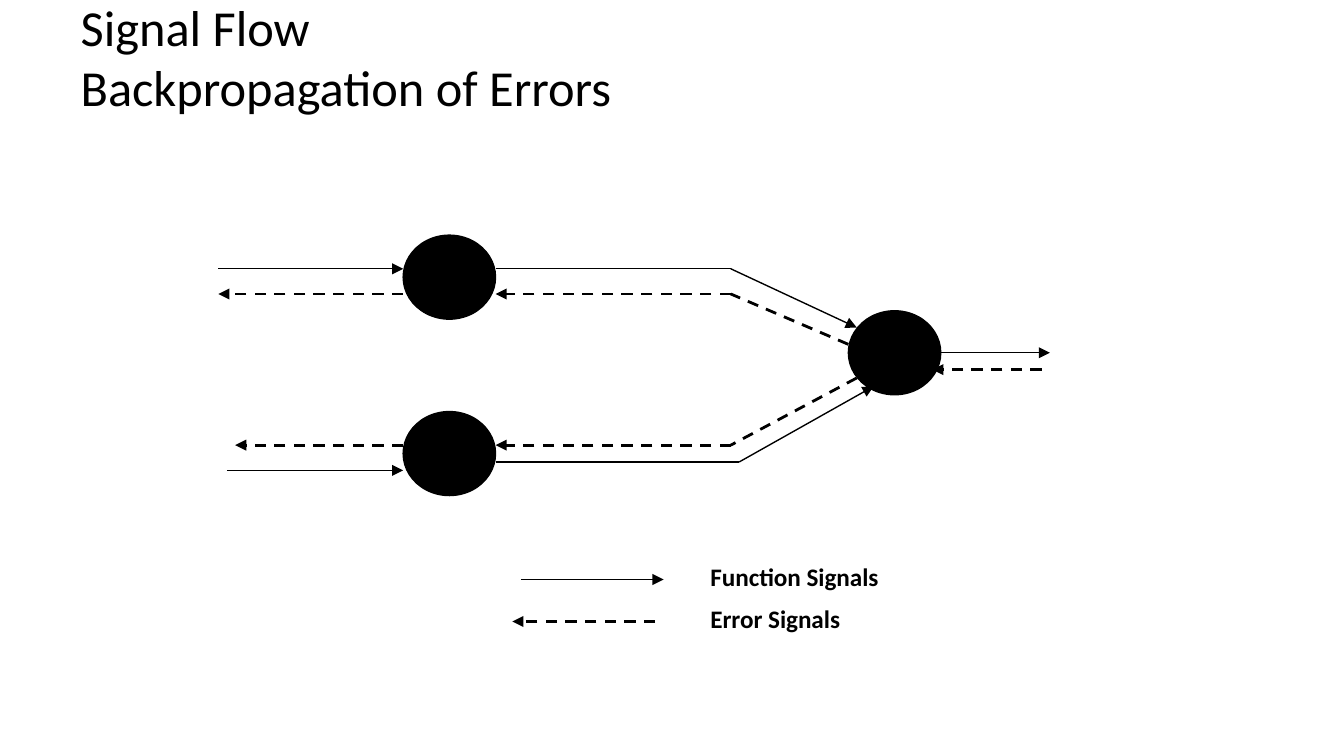
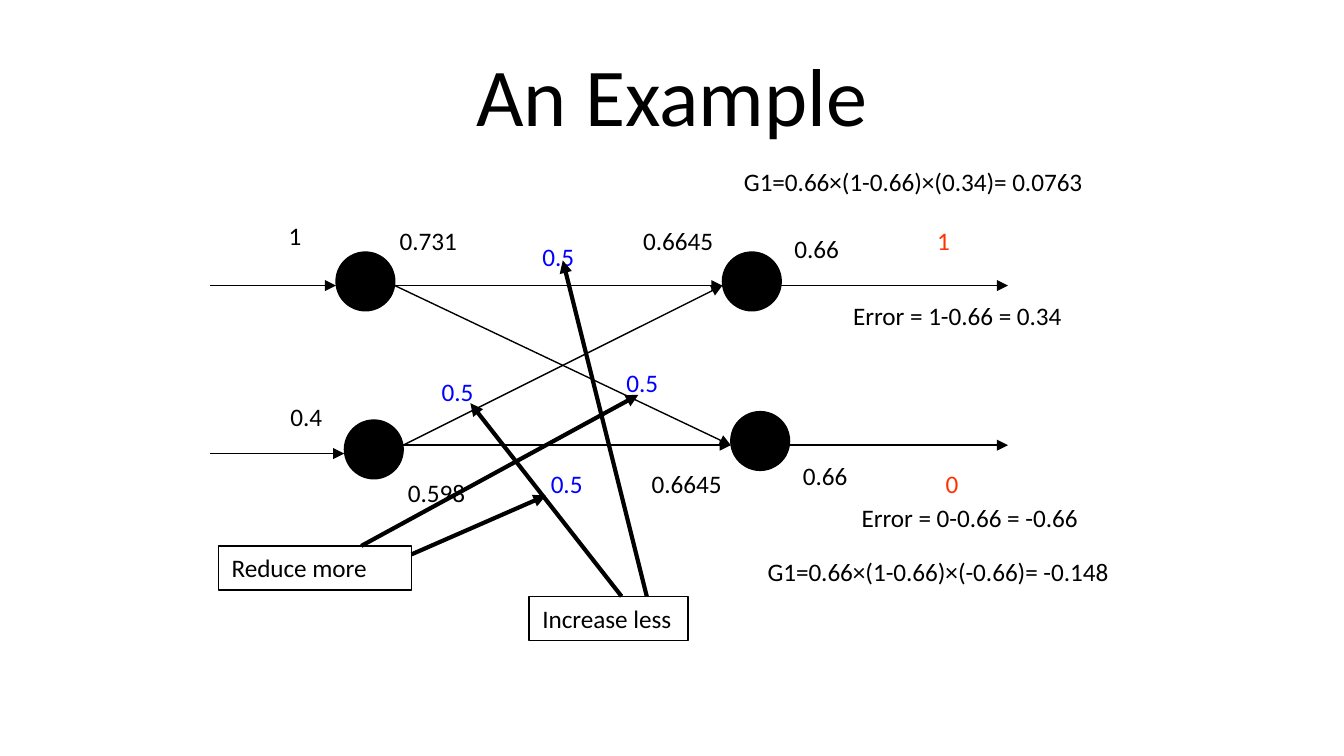
"""Build two slides on backpropagation: the signal flow and a worked example."""
import itertools

import pptx
import pptx.dml.color
import pptx.enum.dml
import pptx.enum.shapes
import pptx.enum.text
import pptx.oxml
import pptx.util

COLORS = {"ink": "000000", "weight": "0000FF", "target": "FF3300"}
FONT = "Calibri"
COLUMNS, ROWS = 160, 90
CELL = pptx.util.Inches(10) // COLUMNS
LABEL_HEIGHT = 5.25

FLOW_TITLE = "Signal Flow\vBackpropagation of Errors"
FLOW_NEURON_SIZE = (11, 10)
FLOW_NEURONS = [(48, 28), (101, 37), (48, 49)]
FUNCTION_SIGNALS = [
    [(59, 32), (87, 32), (102, 39)],
    [(59, 55), (88, 55), (104, 46)],
    [(112, 42), (125, 42)],
    [(26, 32), (48, 32)],
    [(27, 56), (48, 56)],
    [(62, 69), (79, 69)],
]
ERROR_SIGNALS = [
    [(102, 45), (87, 53), (59, 53)],
    [(101, 41), (87, 35), (59, 35)],
    [(124, 44), (111, 44)],
    [(48, 35), (26, 35)],
    [(48, 53), (28, 53)],
    [(78, 74), (61, 74)],
]
LEGEND = [("Function Signals", 83, 66, 31), ("Error Signals", 83, 71, 18.9)]

EXAMPLE_TITLE = "An Example"
EXAMPLE_NEURON_SIZE = (7, 7)
EXAMPLE_NEURONS = [(87, 49), (40, 30), (41, 50), (86, 30)]
CONNECTIONS = [
    [(47, 34), (86, 34)],
    [(25, 34), (40, 34)],
    [(25, 54), (41, 54)],
    [(47, 34), (87, 53)],
    [(48, 53), (87, 53)],
    [(48, 53), (86, 34)],
    [(93, 34), (120, 34)],
    [(94, 53), (120, 53)],
]
VALUES = [
    ("1", 32.8, 25.5, 4.8),
    ("0.4", 33, 47, 7),
    ("0.731", 46, 26, 10),
    ("0.598", 47, 56, 10),
    ("0.6645", 75, 26, 11.7),
    ("0.6645", 76, 55, 11.7),
    ("0.66", 93, 27, 8.6),
    ("0.66", 94, 54, 8.6),
    ("Error = 1-0.66 = 0.34", 100, 35, 28.5),
    ("Error = 0-0.66 = -0.66", 101, 59, 29.3),
    ("G1=0.66×(1-0.66)×(-0.66)= -0.148", 89.8, 65.5, 45),
    ("G1=0.66×(1-0.66)×(0.34)= 0.0763", 87, 19, 44.6),
]
TARGETS = [("1", 110, 26, 4.8), ("0", 111, 55, 4.8)]
WEIGHTS = [("0.5", 63, 28, 8), ("0.5", 73, 43, 8), ("0.5", 51, 44, 8), ("0.5", 64, 55, 8)]
ADVICE = [("Reduce more", 26, 65, 23), ("Increase less", 63, 71, 18.9)]
ADVICE_ARROWS = [
    [(49, 66), (65, 59)],
    [(43, 65), (76, 47)],
    [(74, 71), (56, 48)],
    [(77, 71), (67, 31)],
]


def grid(*cells):
    return [round(cell * CELL) for cell in cells]


def color(name):
    return pptx.dml.color.RGBColor.from_string(COLORS[name])


def write(frame, text, size=13.5, ink="ink", bold=False, align="LEFT", anchor="TOP"):
    frame.vertical_anchor = getattr(pptx.enum.text.MSO_ANCHOR, anchor)
    frame.text = text
    paragraph = frame.paragraphs[0]
    paragraph.alignment = getattr(pptx.enum.text.PP_ALIGN, align)
    for run in paragraph.runs:
        run.font.name, run.font.size, run.font.bold = FONT, pptx.util.Pt(size), bold
        run.font.color.rgb = color(ink)


def add_titled_slide(deck, text, top, **style):
    slide = deck.slides.add_slide(deck.slide_layouts[5])
    title = slide.shapes.title
    title.left, title.top, title.width, title.height = grid(8, top, 144, 15)
    title.text_frame.auto_size = pptx.enum.text.MSO_AUTO_SIZE.NONE
    write(title.text_frame, text, anchor="MIDDLE", **style)
    return slide


def outline(shape):
    shape.shadow.inherit = False
    shape.line.color.rgb = color("ink")
    shape.line.width = pptx.util.Pt(0.75)


def add_neurons(slide, corners, size):
    for corner in corners:
        neuron = slide.shapes.add_shape(
            pptx.enum.shapes.MSO_SHAPE.OVAL, *grid(*corner, *size))
        neuron.fill.solid()
        neuron.fill.fore_color.rgb = color("ink")
        outline(neuron)


def add_arrows(slide, routes, width=0.75, dashed=False):
    for route in routes:
        for start, end in itertools.pairwise(route):
            arrow = slide.shapes.add_connector(
                pptx.enum.shapes.MSO_CONNECTOR.STRAIGHT, *grid(*start, *end))
            arrow.line.color.rgb = color("ink")
            arrow.line.width = pptx.util.Pt(width)
            if dashed:
                arrow.line.dash_style = pptx.enum.dml.MSO_LINE.DASH
            if end == route[-1]:
                head = pptx.oxml.parse_xml(
                    '<a:tailEnd xmlns:a="http://schemas.openxmlformats.org/drawingml/2006/main"'
                    ' type="triangle"/>')
                arrow.line._get_or_add_ln().append(head)
            arrow._element.spPr.append(pptx.oxml.parse_xml(
                '<a:effectLst xmlns:a="http://schemas.openxmlformats.org/drawingml/2006/main"/>'))


def add_labels(slide, labels, boxed=False, wrap=False, **style):
    for text, column, row, width in labels:
        place = grid(column, row, width, LABEL_HEIGHT)
        if boxed:
            label = slide.shapes.add_shape(pptx.enum.shapes.MSO_SHAPE.RECTANGLE, *place)
            label.fill.background()
            outline(label)
        else:
            label = slide.shapes.add_textbox(*place)
        label.text_frame.word_wrap = wrap
        label.text_frame.auto_size = pptx.enum.text.MSO_AUTO_SIZE.SHAPE_TO_FIT_TEXT
        write(label.text_frame, text, **style)


def main():
    deck = pptx.Presentation()
    deck.slide_width, deck.slide_height = grid(COLUMNS, ROWS)

    flow = add_titled_slide(deck, FLOW_TITLE, -0.8, size=27)
    add_neurons(flow, FLOW_NEURONS, FLOW_NEURON_SIZE)
    add_arrows(flow, FUNCTION_SIGNALS)
    add_arrows(flow, ERROR_SIGNALS, width=1.5, dashed=True)
    add_labels(flow, LEGEND, wrap=True, bold=True)

    example = add_titled_slide(deck, EXAMPLE_TITLE, 3.7, size=44, align="CENTER")
    add_neurons(example, EXAMPLE_NEURONS, EXAMPLE_NEURON_SIZE)
    add_arrows(example, CONNECTIONS)
    add_labels(example, VALUES)
    add_labels(example, WEIGHTS, wrap=True, ink="weight")
    add_labels(example, TARGETS, ink="target")
    add_labels(example, ADVICE, boxed=True, wrap=True)
    add_arrows(example, ADVICE_ARROWS, width=2.25)

    deck.save("out.pptx")


if __name__ == "__main__":
    main()
